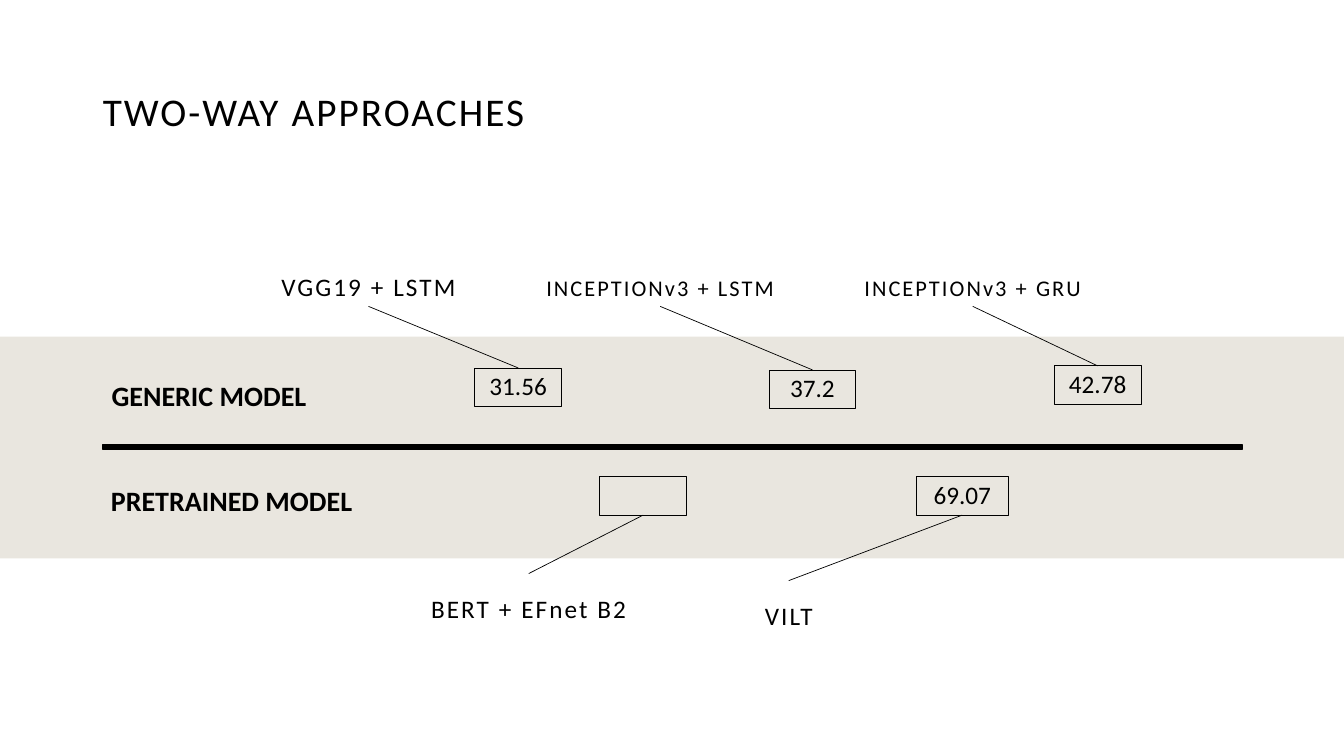
from pptx import Presentation
from pptx.dml.color import RGBColor
from pptx.enum.shapes import MSO_CONNECTOR, MSO_SHAPE
from pptx.enum.text import MSO_ANCHOR, MSO_AUTO_SIZE, PP_ALIGN
from pptx.oxml.ns import qn
from pptx.util import Inches, Pt
from lxml import etree

RECT, STRAIGHT = MSO_SHAPE.RECTANGLE, MSO_CONNECTOR.STRAIGHT
TOP, MIDDLE, BOTTOM = MSO_ANCHOR.TOP, MSO_ANCHOR.MIDDLE, MSO_ANCHOR.BOTTOM
LEFT, CENTER = PP_ALIGN.LEFT, PP_ALIGN.CENTER
NO_FIT = MSO_AUTO_SIZE.NONE
BLACK, BAND = "000000", "E9E6DF"
COMPARISON = 4  # layout with a title and two text headings


def color(hex_string):
    return RGBColor.from_string(hex_string)


class Deck:
    """Style and current slide; lengths are on a grid of 100 columns by 100 rows."""
    font = "Calibri"

    def __init__(self, prs, layout):
        self.col, self.row = prs.slide_width / 100, prs.slide_height / 100
        self.slide = prs.slides.add_slide(prs.slide_layouts[layout])
        self.shapes = self.slide.shapes

    def grid(self, x, y, w, h):
        return [round(v * unit) for v, unit in
                zip((x, y, w, h), (self.col, self.row) * 2)]

    def set_text(self, sp, text, size, anchor=MIDDLE, align=LEFT, bold=False,
                 spacing=0.9, before=0, tracking=0):
        tf = sp.text_frame
        p = tf.paragraphs[0]
        r = p.add_run()
        r.text = text
        formats = [
            (tf, {"word_wrap": True, "auto_size": NO_FIT, "vertical_anchor": anchor}),
            (p, {"alignment": align, "line_spacing": spacing, "space_before": Pt(before)}),
            (r.font, {"name": self.font, "size": Pt(size), "bold": bold}),
        ]
        for target, values in formats:
            for name, value in values.items():
                setattr(target, name, value)
        r.font.color.rgb = color(BLACK)
        if tracking:
            r._r.get_or_add_rPr().set("spc", str(round(tracking * 100)))

    def placeholder(self, idx, at, text, size, **style):
        sp = self.slide.placeholders[idx]
        sp.left, sp.top, sp.width, sp.height = self.grid(*at)
        self.set_text(sp, text, size, **style)

    def label(self, at, text, size, anchor):
        sp = self.shapes.add_textbox(*self.grid(*at))
        self.set_text(sp, text, size, anchor, CENTER, spacing=1.5, before=10, tracking=1.5)

    def box(self, at, fill=None, line=None, width=0.5, text="", back=False):
        sp = self.shapes.add_shape(RECT, *self.grid(*at))
        sp.shadow.inherit = False
        if fill:
            sp.fill.solid()
            sp.fill.fore_color.rgb = color(fill)
        else:
            sp.fill.background()
        if line:
            sp.line.color.rgb = color(line)
            sp.line.width = Pt(width)
        else:
            sp.line.fill.background()
        if text:
            self.set_text(sp, text, 18, align=CENTER)
        if back:
            self.shapes._spTree.insert(2, sp._element)

    def leader(self, x1, y1, x2, y2):
        line = self.shapes.add_connector(STRAIGHT, *self.grid(x1, y1, x2, y2))
        line.line.color.rgb = color(BLACK)
        line.line.width = Pt(0.5)
        etree.SubElement(line._element.spPr, qn("a:effectLst"))

    def drop_empty(self):
        for sp in list(self.slide.placeholders):
            if not sp.text_frame.text:
                sp._element.getparent().remove(sp._element)


prs = Presentation()
prs.slide_width, prs.slide_height = Inches(13.33), Inches(7.5)
deck = Deck(prs, COMPARISON)

# Band and divider, sent behind the text (the last one sent lies lowest)
deck.box((7.65, 58.8, 84.75, 0.67), BLACK, BLACK, 1, back=True)
deck.box((0, 44.53, 100, 29.33), BAND, back=True)

# Title and row names
deck.placeholder(0, (6.9, 5.33, 86.25, 19.33), "TWO-WAY APPROACHES", 28, tracking=1.5)
deck.placeholder(1, (7.55, 49.2, 21.8, 6.67), "GENERIC MODEL", 20, bold=True, before=10)
deck.placeholder(3, (7.5, 63.07, 24.15, 6.67), "PRETRAINED MODEL", 20, bold=True, before=10)
deck.drop_empty()

# Models: label, size, label frame, score, score box left, top, width
BOX_H = 5.07
generic = [
    ("VGG19 + LSTM", 18, (18.53, 29.73, 17.78, 10.8), "31.56", (35.33, 48.67, 6.45)),
    ("INCEPTIONv3 + LSTM", 16, (38.4, 29.73, 21.45, 10.8), "37.2", (57.23, 48.93, 6.45)),
    ("INCEPTIONv3 + GRU", 16, (62.03, 29.73, 20.7, 10.8), "42.78", (78.45, 48.4, 6.45)),
]
pretrained = [
    ("BERT + EFnet B2", 18, (30.45, 75.87, 17.78, 8.27), "", (44.63, 63.07, 6.45)),
    ("VILT", 18, (49.8, 76.8, 17.78, 6.67), "69.07", (68.18, 63.07, 6.83)),
]

# Labels stand above the generic scores and below the pretrained ones
for models, above in ((generic, True), (pretrained, False)):
    for name, size, frame, score, (x, y, w) in models:
        left, top, width, height = frame
        deck.label(frame, name, size, BOTTOM if above else TOP)
        deck.box((x, y, w, BOX_H), line=BLACK, text=score)
        deck.leader(left + width / 2, top + height if above else top,
                    x + w / 2, y if above else y + BOX_H)

prs.save("out.pptx")
